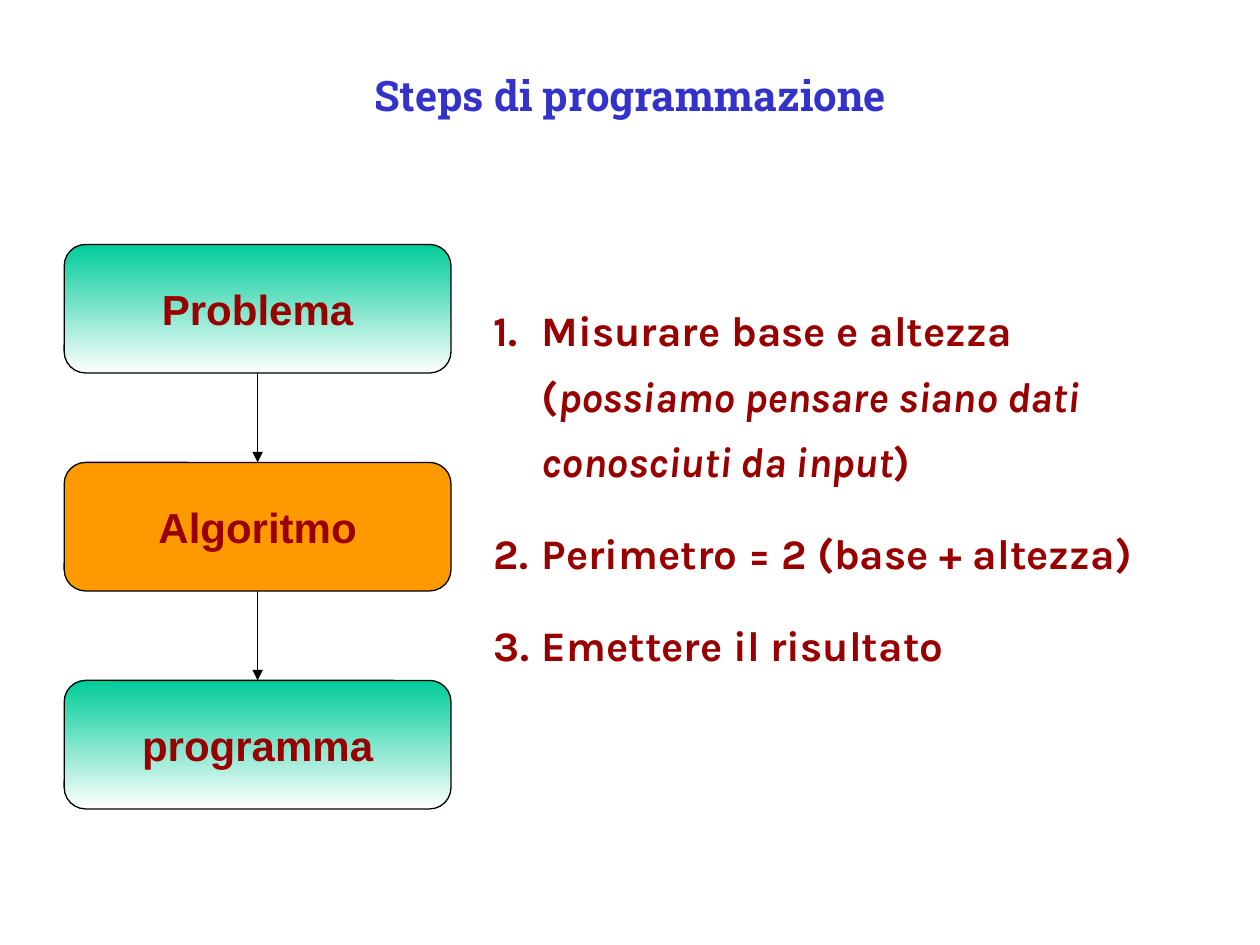
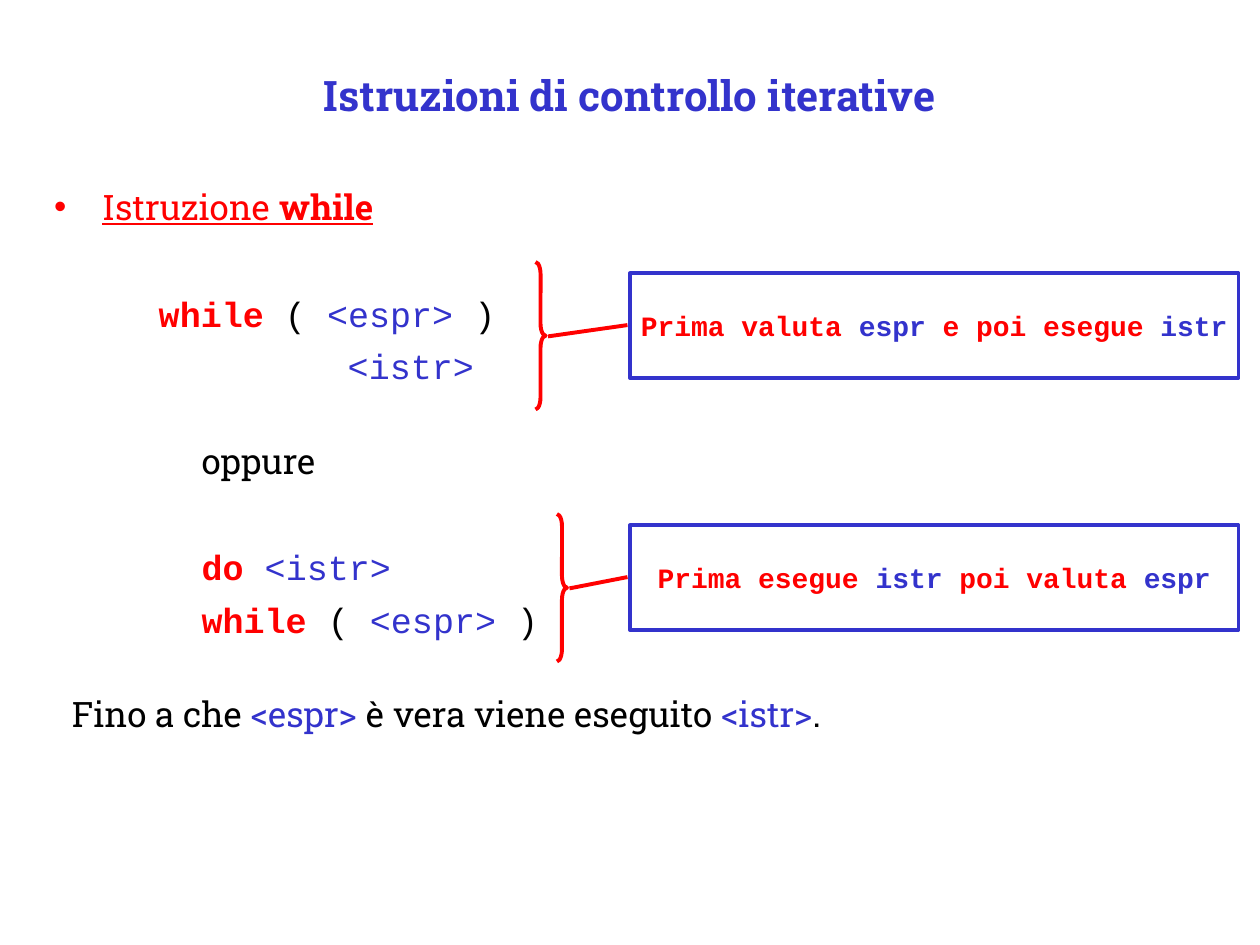
import pptx
import pptx.dml.color
import pptx.enum.shapes
import pptx.enum.text
import pptx.oxml
import pptx.oxml.ns
import pptx.util
from pptx.util import Inches

COLORS = {
    "blue": "3333CC",
    "red": "FF0000",
    "maroon": "990000",
    "black": "000000",
    "white": "FFFFFF",
    "green": "00CC99",
    "orange": "FF9900",
}

STYLES = {
    "title": ("blue", {"name": "Roboto Slab", "size": 24, "bold": True}),
    "step": ("maroon", {"name": "Arial", "size": 24, "bold": True}),
    "list": ("maroon", {"name": "Karla", "size": 24, "bold": True}),
    "list_italic": ("maroon", {"name": "Karla", "size": 24, "bold": True, "italic": True}),
    "heading": ("red", {"name": "Roboto Slab", "size": 20, "underline": True}),
    "heading_bold": ("red", {"name": "Roboto Slab", "size": 20, "underline": True, "bold": True}),
    "prose": ("black", {"name": "Roboto Slab", "size": 20}),
    "prose_term": ("blue", {"name": "Roboto Slab", "size": 20}),
    "keyword": ("red", {"name": "Courier New", "size": 20, "bold": True}),
    "code": ("black", {"name": "Courier New", "size": 20}),
    "code_term": ("blue", {"name": "Courier New", "size": 20}),
    "note": ("red", {"name": "Courier New", "size": 16, "bold": True}),
    "note_term": ("blue", {"name": "Courier New", "size": 16, "bold": True}),
}

BULLETS = {
    "number": '<a:buAutoNum {} type="arabicPeriod"/>',
    "dot": '<a:buChar {} char="•"/>',
    "none": "<a:buNone {}/>",
}

SHAPES = pptx.enum.shapes.MSO_SHAPE
ALIGN = pptx.enum.text.PP_ALIGN
ANCHOR = pptx.enum.text.MSO_ANCHOR
HANGING = 0.38


def rgb(color):
    return pptx.dml.color.RGBColor.from_string(COLORS[color])


def element(xml):
    return pptx.oxml.parse_xml(xml.format(pptx.oxml.ns.nsdecls("a")))


class SlideBuilder:
    def __init__(self, deck):
        self.deck = deck
        self.page = None

    def start(self, title):
        self.page = self.deck.slides.add_slide(self.deck.slide_layouts[1])
        box = self.page.shapes.title
        self.place(box, 0.75, 0.42, 8.5, 0.67)
        self.frame(box, ANCHOR.MIDDLE)
        self.add_spans(box.text_frame.paragraphs[0], [(title, "title")], ALIGN.CENTER)

    def place(self, box, left, top, width, height):
        for name, value in {"left": left, "top": top, "width": width, "height": height}.items():
            setattr(box, name, Inches(value))

    def frame(self, box, anchor, wrap=True):
        settings = {
            "auto_size": pptx.enum.text.MSO_AUTO_SIZE.NONE,
            "vertical_anchor": anchor,
            "word_wrap": wrap,
        }
        for name, value in settings.items():
            setattr(box.text_frame, name, value)

    def add_spans(self, para, spans, align=ALIGN.LEFT):
        para.alignment = align
        for text, style in spans:
            span = para.add_run()
            span.text = text
            color, values = STYLES[style]
            for name, value in values.items():
                setattr(span.font, name, pptx.util.Pt(value) if name == "size" else value)
            span.font.color.rgb = rgb(color)

    def body(self, area, lines, line_spacing=1.0):
        box = self.page.placeholders[1]
        self.place(box, *area)
        self.frame(box, ANCHOR.TOP)
        for index, (bullet, indent, before, spans) in enumerate(lines):
            para = box.text_frame.paragraphs[0] if index == 0 else box.text_frame.add_paragraph()
            properties = para._p.get_or_add_pPr()
            properties.set("marL", str(Inches(indent)))
            properties.set("indent", str(0 if bullet == "none" else -Inches(indent)))
            properties.append(element(BULLETS[bullet]))
            para.line_spacing = line_spacing
            para.space_before = pptx.util.Pt(before)
            self.add_spans(para, spans)

    def panel(self, kind, area, spans, line, weight, fill=None):
        box = self.page.shapes.add_shape(kind, *map(Inches, area))
        box.shadow.inherit = False
        box.line.color.rgb = rgb(line)
        box.line.width = pptx.util.Pt(weight)
        if fill is None:
            box.fill.background()
        elif isinstance(fill, tuple):
            box.fill.gradient()
            box.fill.gradient_angle = 270
            for stop, color, position in zip(box.fill.gradient_stops, fill, (0, 1)):
                stop.color.rgb = rgb(color)
                stop.position = position
        else:
            box.fill.solid()
            box.fill.fore_color.rgb = rgb(fill)
        if spans:
            self.frame(box, ANCHOR.MIDDLE, False)
            self.add_spans(box.text_frame.paragraphs[0], spans, ALIGN.CENTER)
        return box

    def connector(self, start, end, color, weight, arrow=False):
        line = self.page.shapes.add_connector(
            pptx.enum.shapes.MSO_CONNECTOR.STRAIGHT, *map(Inches, (*start, *end)))
        line.line.color.rgb = rgb(color)
        line.line.width = pptx.util.Pt(weight)
        properties = line._element.spPr
        if arrow:
            outline = properties.find(pptx.oxml.ns.qn("a:ln"))
            outline.append(element('<a:tailEnd {} type="triangle"/>'))
        properties.append(element("<a:effectLst {}/>"))


def programming_steps(builder):
    builder.start("Steps di programmazione")
    left, top, width, height, pitch = 0.51, 1.94, 3.07, 1.02, 1.73
    middle = left + width / 2
    gradient = ("green", "white")
    steps = [("Problema", gradient), ("Algoritmo", "orange"), ("programma", gradient)]
    for index, (name, fill) in enumerate(steps):
        step_top = top + index * pitch
        builder.panel(SHAPES.ROUNDED_RECTANGLE, (left, step_top, width, height),
                      [(name, "step")], "black", 0.75, fill)
        if index:
            builder.connector((middle, step_top - pitch + height), (middle, step_top),
                              "black", 0.75, True)
    items = [
        [("Misurare base e altezza (", "list"),
         ("possiamo pensare siano dati conosciuti da input", "list_italic"),
         (")", "list")],
        [("Perimetro = 2 (base + altezza)", "list")],
        [("Emettere il risultato", "list")],
    ]
    lines = [("number", HANGING, 15 if index else 0, spans) for index, spans in enumerate(items)]
    builder.body((3.82, 2.25, 5.91, 3.12), lines, 1.3)


def iterative_statements(builder):
    builder.start("Istruzioni di controllo iterative")
    condition = [("while", "keyword"), (" ( ", "code"), ("<espr>", "code_term"), (" )", "code")]
    builder.body((0.33, 1.42, 8.25, 5.42), [
        ("dot", HANGING, 0, [("Istruzione ", "heading"), ("while", "heading_bold")]),
        ("none", 0.83, 37, condition),
        ("none", 2.33, 6, [("<istr>", "code_term")]),
        ("none", 1.17, 30, [("oppure", "prose")]),
        ("none", 1.17, 37, [("do ", "keyword"), ("<istr>", "code_term")]),
        ("none", 1.17, 6, condition),
        ("none", 0.14, 30, [("Fino a che ", "prose"), ("<espr>", "prose_term"),
                            (" è vera viene eseguito ", "prose"), ("<istr>", "prose_term"),
                            (".", "prose")]),
    ])
    notes = [
        (4.25, 2.08, [("Prima valuta ", "note"), ("espr", "note_term"),
                      (" e poi esegue ", "note"), ("istr", "note_term")]),
        (4.42, 4.08, [("Prima esegue ", "note"), ("istr ", "note_term"),
                      ("poi valuta ", "note"), ("espr", "note_term")]),
    ]
    for left, top, spans in notes:
        brace = builder.panel(SHAPES.RIGHT_BRACE, (left, top, 0.08, 1.17), [], "red", 2.25)
        brace.adjustments[0] = 1.2
        builder.connector((left + 0.1, top + 0.59), (4.98, top + 0.5), "red", 2.25)
        builder.panel(SHAPES.RECTANGLE, (5, top + 0.09, 4.83, 0.83), spans, "blue", 2.25)


def main():
    deck = pptx.Presentation()
    deck.slide_width, deck.slide_height = Inches(10), Inches(7.5)
    builder = SlideBuilder(deck)
    programming_steps(builder)
    iterative_statements(builder)
    deck.save("out.pptx")


if __name__ == "__main__":
    main()
